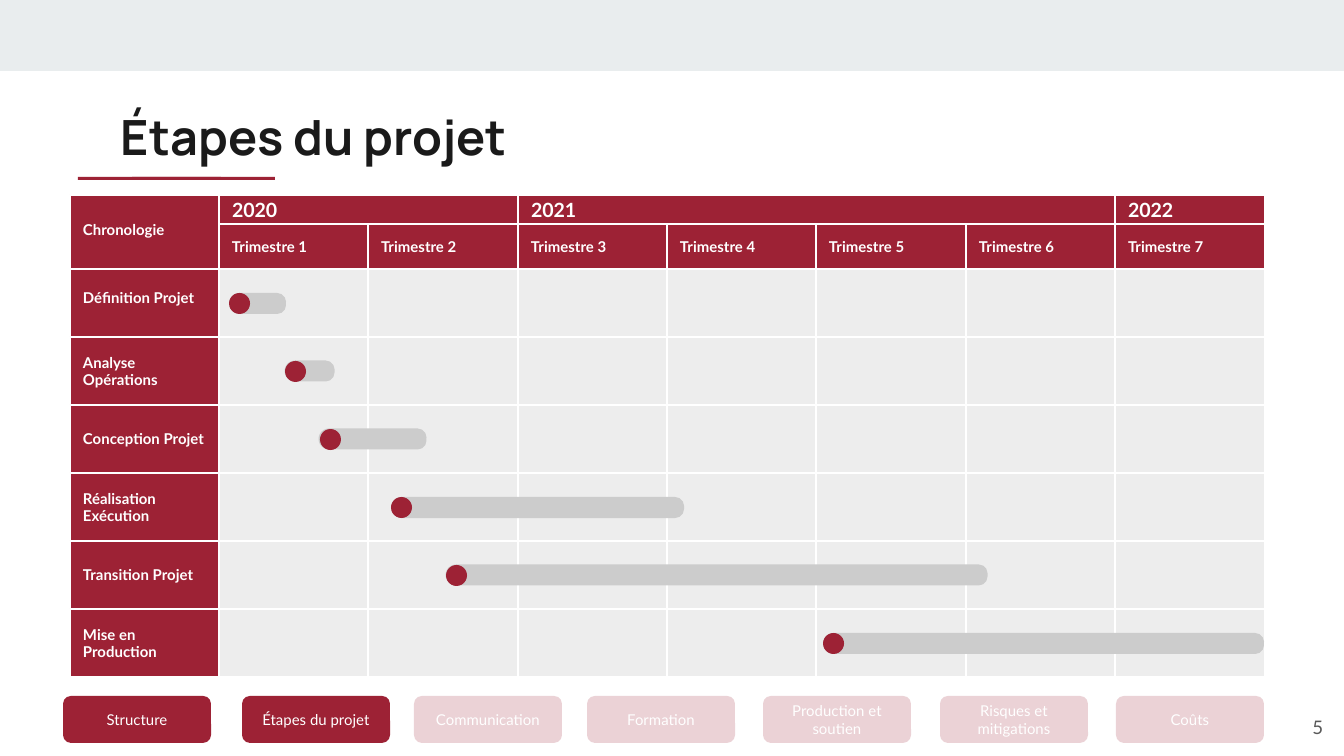
"""Build the project timeline slide: a quarter grid, task bars and navigation buttons."""
import dataclasses

import lxml.etree
import pptx
import pptx.dml.color
import pptx.enum.shapes
import pptx.enum.text
import pptx.oxml.ns
import pptx.util

EMU_PER_PX = pptx.util.Inches(10) / 1344
COLORS = {
    "band": "E9EDEE",
    "red": "9D2235",
    "cell": "EDEDED",
    "bar": "CCCCCC",
    "white": "FFFFFF",
    "title": "1A1A1A",
    "number": "595959",
}
SHAPES = pptx.enum.shapes.MSO_SHAPE
ANCHORS = pptx.enum.text.MSO_ANCHOR
ALIGNS = pptx.enum.text.PP_ALIGN

INSET = 13
LIFTED_INSET = 31
GRID_LEFT, GRID_WIDTH, COLUMNS = 70, 1195, 8
YEAR_TOP, QUARTER_TOP, TASK_TOP, TASK_HEIGHT = 195, 224, 269, 68
BAR_HEIGHT = 21


@dataclasses.dataclass
class Area:
    left: int
    top: int
    width: int
    height: int


@dataclasses.dataclass
class Label:
    text: str
    size: float = 8
    bold: bool = True
    color: str = "white"
    font: str = "Lato"
    align: int = ALIGNS.LEFT
    anchor: int = ANCHORS.MIDDLE
    top_inset: int = INSET
    bottom_inset: int = INSET


@dataclasses.dataclass
class Year:
    name: str
    first_column: int
    last_column: int


@dataclasses.dataclass
class Task:
    name: str
    bar_start: int
    bar_end: int
    dot_start: int
    lifted: bool = False


@dataclasses.dataclass
class Button:
    text: str
    left: int
    faded: bool = True


YEARS = [Year("2020", 1, 2), Year("2021", 3, 6), Year("2022", 7, 7)]
TASKS = [
    Task("Définition Projet", 229, 286, 229, lifted=True),
    Task("Analyse Opérations", 285, 335, 285),
    Task("Conception Projet", 319, 427, 320),
    Task("Réalisation\vExécution", 391, 684, 391),
    Task("Transition Projet", 446, 988, 446),
    Task("Mise en Production", 823, 1264, 823),
]
BUTTONS = [
    Button("Structure", 63, faded=False),
    Button("Étapes du projet", 242, faded=False),
    Button("Communication", 414),
    Button("Formation", 587),
    Button("Production et soutien", 763),
    Button("Risques et mitigations", 940),
    Button("Coûts", 1116),
]


def px(length: int) -> int:
    return round(length * EMU_PER_PX)


def rgb(name: str) -> pptx.dml.color.RGBColor:
    return pptx.dml.color.RGBColor.from_string(COLORS[name])


def place(area: Area) -> list[int]:
    return [px(length) for length in dataclasses.astuple(area)]


def write(box, label: Label) -> None:
    frame = box.text_frame
    frame.text = label.text
    frame.word_wrap = True
    frame.vertical_anchor = label.anchor
    frame.margin_left = frame.margin_right = px(INSET)
    frame.margin_top = px(label.top_inset)
    frame.margin_bottom = px(label.bottom_inset)
    for para in frame.paragraphs:
        para.alignment = label.align
        for span in para.runs:
            span.font.name = label.font
            span.font.size = pptx.util.Pt(label.size)
            span.font.bold = label.bold
            span.font.color.rgb = rgb(label.color)


def add_text(page, area: Area, label: Label) -> None:
    write(page.shapes.add_textbox(*place(area)), label)


def add_box(page, area: Area, fill: str, kind: int = SHAPES.RECTANGLE):
    box = page.shapes.add_shape(kind, *place(area))
    box.shadow.inherit = False
    box.fill.solid()
    box.fill.fore_color.rgb = rgb(fill)
    box.line.fill.background()
    return box


def add_cell(page, area: Area, fill: str, label: Label | None = None) -> None:
    box = add_box(page, area, fill)
    box.line.color.rgb = rgb("white")
    box.line.width = pptx.util.Pt(0.75)
    if label:
        write(box, label)


def add_bar(page, start: int, end: int, middle: int, fill: str, rounding: float) -> None:
    length = end - start
    area = Area((start + end - BAR_HEIGHT) // 2, middle - length // 2, BAR_HEIGHT, length)
    bar = add_box(page, area, fill, SHAPES.ROUND_2_SAME_RECTANGLE)
    bar.rotation = 90
    bar.adjustments[0] = rounding
    bar.adjustments[1] = 0.5


def add_button(page, button: Button) -> None:
    box = add_box(page, Area(button.left, 696, 148, 47), "red", SHAPES.ROUNDED_RECTANGLE)
    if button.faded:
        qn = pptx.oxml.ns.qn
        color = box.fill._xPr.find(f"{qn('a:solidFill')}/{qn('a:srgbClr')}")
        lxml.etree.SubElement(color, qn("a:alpha"), val="20000")
    write(box, Label(button.text, bold=False, align=ALIGNS.CENTER))


def column_area(first: int, last: int, top: int, height: int) -> Area:
    left, right = (GRID_LEFT + GRID_WIDTH * edge // COLUMNS for edge in (first, last + 1))
    return Area(left, top, right - left, height)


def row_label(text: str, lifted: bool) -> Label:
    if lifted:
        return Label(text, anchor=ANCHORS.BOTTOM, bottom_inset=LIFTED_INSET)
    return Label(text)


def add_grid(page) -> None:
    for row, task in enumerate(TASKS):
        top = TASK_TOP + TASK_HEIGHT * row
        add_cell(page, column_area(0, 0, top, TASK_HEIGHT), "red", row_label(task.name, task.lifted))
        for column in range(1, COLUMNS):
            add_cell(page, column_area(column, column, top, TASK_HEIGHT), "cell")
    for column in range(1, COLUMNS):
        area = column_area(column, column, QUARTER_TOP, TASK_TOP - QUARTER_TOP)
        add_cell(page, area, "red", Label(f"Trimestre {column}"))
    for year in YEARS:
        area = column_area(year.first_column, year.last_column, YEAR_TOP, QUARTER_TOP - YEAR_TOP)
        add_cell(page, area, "red", Label(year.name, size=10.5))
    corner = column_area(0, 0, YEAR_TOP, TASK_TOP - YEAR_TOP)
    add_cell(page, corner, "red", row_label("Chronologie", True))


def main() -> None:
    deck = pptx.Presentation()
    deck.slide_width, deck.slide_height = px(1344), px(756)
    page = deck.slides.add_slide(deck.slide_layouts[6])
    add_box(page, Area(0, 0, 1344, 71), "band")
    for left in (78, 132):
        add_box(page, Area(left, 177, 143, 3), "red")
    title = Label("Étapes du projet", 26, True, "title", "Manrope", anchor=ANCHORS.TOP, top_inset=10)
    add_text(page, Area(108, 97, 1130, 79), title)
    add_grid(page)
    for row, task in enumerate(TASKS):
        middle = TASK_TOP + TASK_HEIGHT * row + TASK_HEIGHT // 2
        add_bar(page, task.bar_start, task.bar_end, middle, "bar", 0.42)
        add_bar(page, task.dot_start, task.dot_start + BAR_HEIGHT, middle, "red", 0.5)
    for button in BUTTONS:
        add_button(page, button)
    number = Label("5", 10, False, "number", align=ALIGNS.RIGHT)
    add_text(page, Area(1255, 698, 81, 58), number)
    deck.save("out.pptx")


if __name__ == "__main__":
    main()
